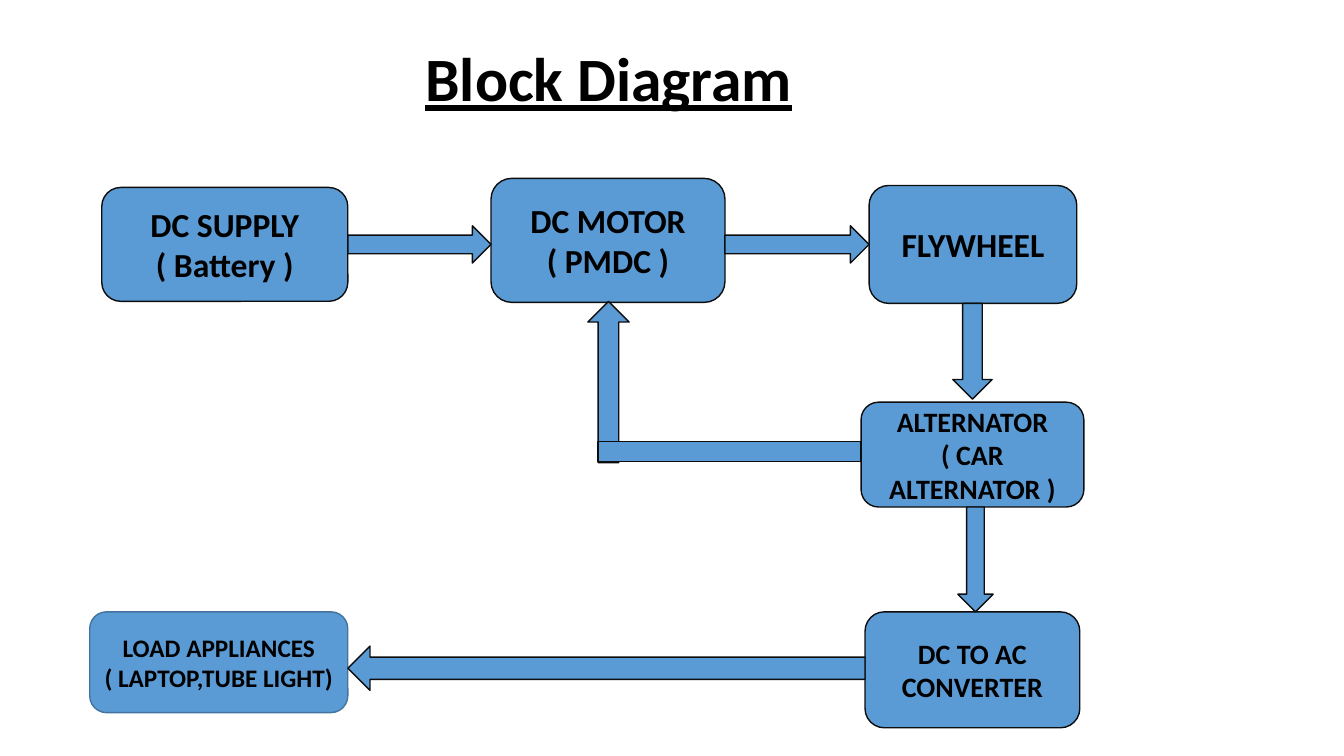
from collections import namedtuple

from pptx import Presentation
from pptx.dml.color import RGBColor
from pptx.enum.shapes import MSO_SHAPE
from pptx.enum.text import MSO_ANCHOR, PP_ALIGN
from pptx.util import Pt

PX = 9144  # EMU per px, 100 px to the inch
FONT = "Calibri"
BLUE = RGBColor(0x5B, 0x9B, 0xD5)
DARK = RGBColor(0x0D, 0x0D, 0x0D)
STEEL = RGBColor(0x43, 0x73, 0x9E)
BLACK = RGBColor(0, 0, 0)

RECTANGLE = MSO_SHAPE.RECTANGLE
ROUNDED = MSO_SHAPE.ROUNDED_RECTANGLE
RIGHT_ARROW = MSO_SHAPE.RIGHT_ARROW
LEFT_ARROW = MSO_SHAPE.LEFT_ARROW
UP_ARROW = MSO_SHAPE.UP_ARROW
DOWN_ARROW = MSO_SHAPE.DOWN_ARROW
CENTER = PP_ALIGN.CENTER
MIDDLE = MSO_ANCHOR.MIDDLE

Box = namedtuple("Box", "left top width height")

# Name: box within the diagram, text lines, text size, outline
BLOCKS = {
    "supply": (Box(12, 9, 244, 113), ["DC SUPPLY", "( Battery )"], 24, DARK),
    "motor": (Box(398, 0, 232, 123), ["DC MOTOR", "( PMDC )"], 24, DARK),
    "flywheel": (Box(773, 7, 206, 117), ["FLYWHEEL"], 24, DARK),
    "alternator": (Box(765, 222, 221, 104),
                   ["ALTERNATOR", "( CAR ALTERNATOR )"], 20, DARK),
    "converter": (Box(769, 430, 213, 115), ["DC TO AC CONVERTER"], 20, DARK),
    "load": (Box(0, 430, 256, 100),
             ["LOAD APPLIANCES", "( LAPTOP,TUBE LIGHT)"], 18, STEEL),
}


def to_emu(box):
    return [length * PX for length in box]


def write_lines(text_frame, lines, size, underline=None):
    text_frame.word_wrap = True
    text_frame.text = "\n".join(lines)
    for paragraph in text_frame.paragraphs:
        paragraph.alignment = CENTER
        font = paragraph.font
        font.name = FONT
        font.size = Pt(size)
        font.bold = True
        font.underline = underline
        font.color.rgb = BLACK


def add_blue_shape(slide, kind, box, outline=DARK):
    shape = slide.shapes.add_shape(kind, *to_emu(box))
    shape.shadow.inherit = False
    shape.fill.solid()
    shape.fill.fore_color.rgb = BLUE
    shape.line.color.rgb = outline
    shape.line.width = Pt(1)
    return shape


def draw_title(slide, box):
    title = slide.shapes.add_textbox(*to_emu(box))
    write_lines(title.text_frame, ["Block Diagram"], 44, underline=True)


def draw_diagram(slide, area):
    # Blocks
    places = {}
    for name, (box, lines, size, outline) in BLOCKS.items():
        place = box._replace(left=area.left + box.left, top=area.top + box.top)
        places[name] = place
        block = add_blue_shape(slide, ROUNDED, place, outline)
        block.text_frame.vertical_anchor = MIDDLE
        write_lines(block.text_frame, lines, size)

    # Horizontal arrows fill the gap between two blocks
    for kind, first, second, top, height in (
            (RIGHT_ARROW, "supply", "motor", 47, 37),
            (RIGHT_ARROW, "motor", "flywheel", 47, 37),
            (LEFT_ARROW, "load", "converter", 464, 44)):
        left = places[first].left + places[first].width
        width = places[second].left - left
        add_blue_shape(slide, kind, Box(left, area.top + top, width, height))

    # Vertical arrows start at the lower edge of a block
    for upper, left, width, height in (
            ("flywheel", 856, 39, 95), ("alternator", 861, 35, 104)):
        top = places[upper].top + places[upper].height
        add_blue_shape(slide, DOWN_ARROW,
                       Box(area.left + left, top, width, height))

    # Feedback from the alternator to the motor
    add_blue_shape(slide, UP_ARROW,
                   Box(area.left + 494, area.top + 122, 41, 160))
    bar_left = area.left + 504
    add_blue_shape(slide, RECTANGLE,
                   Box(bar_left, area.top + 261,
                       places["alternator"].left - bar_left, 20))


def main():
    presentation = Presentation()
    presentation.slide_width = 1333 * PX
    presentation.slide_height = 750 * PX
    blank_layout = presentation.slide_layouts[6]
    slide = presentation.slides.add_slide(blank_layout)
    draw_title(slide, Box(382, 35, 444, 84))
    draw_diagram(slide, Box(89, 177, 986, 545))
    presentation.save("out.pptx")


if __name__ == "__main__":
    main()
